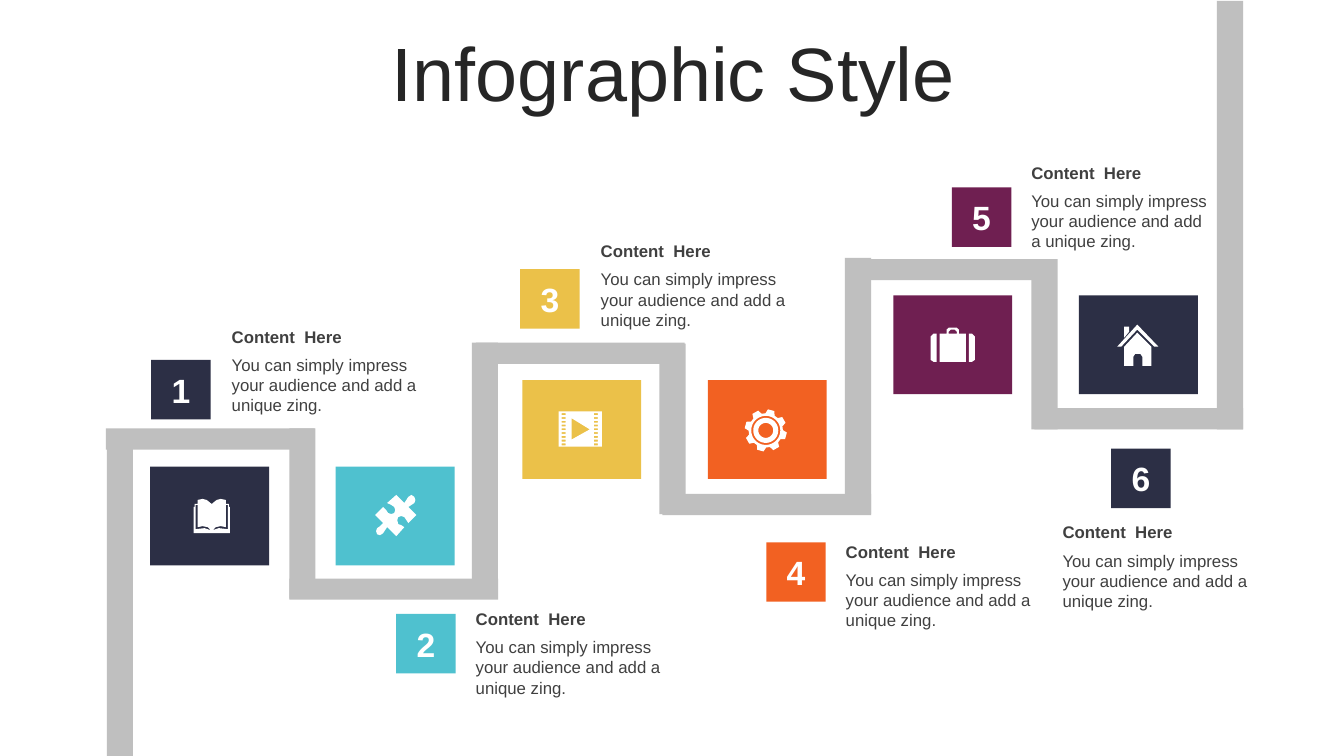
from math import cos, radians, sin

from pptx import Presentation
from pptx.dml.color import RGBColor
from pptx.enum.shapes import MSO_SHAPE
from pptx.enum.text import MSO_ANCHOR, MSO_AUTO_SIZE, PP_ALIGN
from pptx.util import Pt

EMU_PER_PX = 9144  # 100 px to the inch
SLIDE_SIZE = (1333, 750)

RECTANGLE = MSO_SHAPE.RECTANGLE
TOP, MIDDLE = MSO_ANCHOR.TOP, MSO_ANCHOR.MIDDLE
LEFT, CENTER = PP_ALIGN.LEFT, PP_ALIGN.CENTER
FIXED_SIZE, GROW = MSO_AUTO_SIZE.NONE, MSO_AUTO_SIZE.SHAPE_TO_FIT_TEXT

WHITE = RGBColor(0xFF, 0xFF, 0xFF)
GREY = RGBColor(0xBF, 0xBF, 0xBF)
TITLE_INK = RGBColor(0x26, 0x26, 0x26)
TEXT_INK = RGBColor(0x40, 0x40, 0x40)
NAVY = RGBColor(0x2C, 0x2F, 0x45)
TEAL = RGBColor(0x4F, 0xC1, 0xCF)
YELLOW = RGBColor(0xEB, 0xC1, 0x49)
ORANGE = RGBColor(0xF2, 0x61, 0x22)
PLUM = RGBColor(0x6F, 0x1F, 0x51)

HEADING = "Content  Here"
BODY = "You can simply impress your audience and add a unique zing."

# Path: horizontal bars (left, top), vertical bars (left, top, height)
BAR_LENGTH, BAR_HEIGHT, POST_WIDTH = 207, 21, 26
BARS = [(105, 425), (287, 574), (472, 340), (657, 490), (841, 257), (1026, 405)]
POSTS = [(106, 427, 323), (287, 425, 169), (468, 340, 254), (654, 341, 169),
         (838, 256, 254), (1023, 257, 169), (1207, 1, 425)]

# Steps: colour, card corner, badge corner, caption corner, caption width
CARD_SIZE, BADGE_SIZE = (118, 98), (59, 59)
STEPS = [
    (NAVY, (149, 463), (150, 357), (220, 319), 207),
    (TEAL, (333, 463), (393, 609), (462, 599), 207),
    (YELLOW, (518, 377), (516, 267), (586, 234), 207),
    (ORANGE, (702, 377), (760, 538), (829, 532), 207),
    (PLUM, (886, 293), (944, 186), (1013, 156), 198),
    (NAVY, (1070, 293), (1102, 445), (1044, 513), 207),
]


def box(left, top, right, bottom):
    return [(left, top), (right, top), (right, bottom), (left, bottom)]


def mirror(points, axis):
    return [(2 * axis - x, y) for x, y in points]


def polar(center, radius, degrees):
    angle = radians(degrees)
    return center[0] + radius * sin(angle), center[1] - radius * cos(angle)


def circle(center, radius):
    return [polar(center, radius, degrees) for degrees in range(0, 360, 6)]


# Each icon is a list of outlines; an outline inside another cuts a hole
def book_icon():
    axis = 210
    cover = [(192, 529), (192, 503), (193, 503), (193, 500), (196, 500),
             (196, 496), (201, 495), (205, 496), (210, 500)]
    crease = [(194, 501), (196, 501), (196, 523), (201, 522), (206, 523),
              (209, 526), (203, 524), (194, 525)]
    return [cover + mirror(cover[-2::-1], axis), crease, mirror(crease, axis)]


def puzzle_icon():
    return [[(411, 493), (412, 496), (411, 499), (408, 501), (405, 503),
             (413, 511), (405, 519), (403, 516), (401, 513), (398, 512),
             (395, 513), (394, 516), (395, 520), (398, 521), (401, 523),
             (393, 532), (384, 523), (382, 526), (380, 529), (377, 531),
             (374, 530), (373, 527), (374, 524), (377, 522), (380, 519),
             (372, 511), (380, 503), (383, 506), (385, 509), (388, 510),
             (391, 509), (392, 506), (391, 503), (388, 501), (384, 499),
             (393, 491), (401, 499), (403, 496), (405, 493), (408, 491)]]


def film_icon():
    holes = [box(left, 410 + 3.75 * row, left + 4, 411.8 + 3.75 * row)
             for left in (557, 589) for row in range(9)]
    return [box(554, 408, 597, 443), [(567, 415), (585, 426), (567, 436)]] + holes


def gear_icon():
    center = (759.5, 427)
    tooth = [(-16, 17), (-9, 21), (9, 21), (16, 17)]
    rim = [polar(center, radius, 15 + 45 * number + offset)
           for number in range(8) for offset, radius in tooth]
    return [rim] + [circle(center, radius) for radius in (14.4, 12.4, 7.4)]


def suitcase_icon():
    side = [(929, 331), (929, 359), (926, 359), (923, 357), (923, 334), (926, 331)]
    middle = [(941, 325), (949, 325), (951, 327), (951, 331), (958, 331),
              (958, 359), (932, 359), (932, 331), (939, 331), (939, 327)]
    handle = [(943, 327), (947, 327), (949, 329), (949, 331), (941, 331), (941, 329)]
    return [side, mirror(side, 945), middle, handle]


def house_icon():
    walls = [(1128, 330), (1142, 344), (1142, 363), (1133, 363), (1133, 354),
             (1131, 351), (1126, 351), (1124, 354), (1124, 363), (1115, 363),
             (1115, 344)]
    chimney = [(1115, 324), (1120, 324), (1120, 329), (1115, 335)]
    roof = [(1128, 322), (1149, 344), (1145, 344), (1128, 327), (1112, 344), (1108, 344)]
    return [walls, chimney, roof]


ICONS = [book_icon, puzzle_icon, film_icon, gear_icon, suitcase_icon, house_icon]


def px(*lengths):
    return [round(length * EMU_PER_PX) for length in lengths]


class SlideBuilder:
    font_name = "Arial"

    def __init__(self, presentation):
        self.slide = presentation.slides.add_slide(presentation.slide_layouts[5])
        self.shapes = self.slide.shapes

    def set_text(self, shape, text, size, color, bold=False, align=LEFT,
                 anchor=MIDDLE, auto_size=FIXED_SIZE):
        frame = shape.text_frame
        frame.word_wrap = True
        frame.auto_size = auto_size
        frame.vertical_anchor = anchor
        paragraph = frame.paragraphs[0]
        paragraph.alignment = align
        run = paragraph.add_run()
        run.text = text
        run.font.name = self.font_name
        run.font.size = Pt(size)
        run.font.bold = bold
        run.font.color.rgb = color
        return paragraph

    def paint(self, shape, color):
        shape.shadow.inherit = False
        shape.fill.solid()
        shape.fill.fore_color.rgb = color
        shape.line.fill.background()

    def title(self, text, left, top, width, height):
        shape = self.shapes.title
        shape.left, shape.top, shape.width, shape.height = px(left, top, width, height)
        paragraph = self.set_text(shape, text, 54, TITLE_INK, align=CENTER)
        paragraph.line_spacing = 0.9

    def rectangle(self, left, top, width, height, color):
        shape = self.shapes.add_shape(RECTANGLE, *px(left, top, width, height))
        self.paint(shape, color)
        return shape

    def badge(self, corner, number, color):
        shape = self.rectangle(*corner, *BADGE_SIZE, color)
        self.set_text(shape, str(number), 24, WHITE, bold=True, align=CENTER)

    def caption(self, left, top, width):
        heading = self.shapes.add_textbox(*px(left, top, width, 30))
        self.set_text(heading, HEADING, 12, TEXT_INK, bold=True, auto_size=GROW)
        body = self.shapes.add_textbox(*px(left, top + 28, width, 71))
        self.set_text(body, BODY, 12, TEXT_INK, anchor=TOP, auto_size=GROW)

    def icon(self, outlines):
        builder = self.shapes.build_freeform(*px(*outlines[0][0]))
        for index, outline in enumerate(outlines):
            points = [px(*point) for point in outline]
            if index:
                builder.move_to(*points[0])
            builder.add_line_segments(points[1:], close=True)
        self.paint(builder.convert_to_shape(), WHITE)


def main():
    presentation = Presentation()
    presentation.slide_width, presentation.slide_height = px(*SLIDE_SIZE)
    builder = SlideBuilder(presentation)
    builder.title("Infographic Style", 35, 37, 1266, 79)

    # Winding path
    for left, top in BARS:
        builder.rectangle(left, top, BAR_LENGTH, BAR_HEIGHT, GREY)
    for left, top, height in POSTS:
        builder.rectangle(left, top, POST_WIDTH, height, GREY)

    # Steps along the path
    for number, (color, card, badge, caption, width) in enumerate(STEPS, start=1):
        builder.rectangle(*card, *CARD_SIZE, color)
        builder.icon(ICONS[number - 1]())
        builder.badge(badge, number, color)
        builder.caption(*caption, width)

    presentation.save("out.pptx")


if __name__ == "__main__":
    main()
